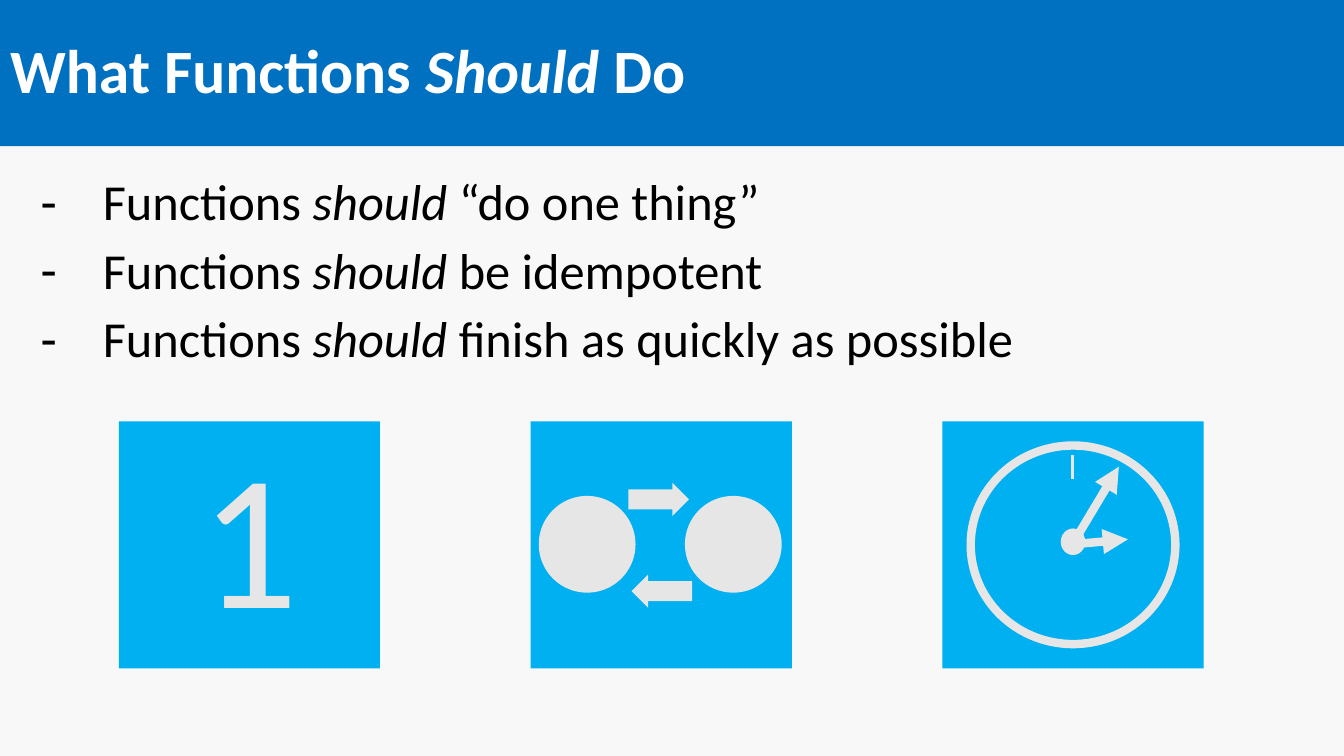
from dataclasses import dataclass

from lxml import etree
from pptx import Presentation
from pptx.dml.color import RGBColor
from pptx.enum.shapes import MSO_CONNECTOR, MSO_SHAPE
from pptx.enum.text import MSO_ANCHOR, MSO_AUTO_SIZE, PP_ALIGN
from pptx.oxml.ns import qn
from pptx.util import Inches, Pt

RECTANGLE, OVAL, ARROW = MSO_SHAPE.RECTANGLE, MSO_SHAPE.OVAL, MSO_SHAPE.RIGHT_ARROW
STRAIGHT = MSO_CONNECTOR.STRAIGHT
MIDDLE = MSO_ANCHOR.MIDDLE
FIXED_SIZE = MSO_AUTO_SIZE.NONE
LEFT, CENTER = PP_ALIGN.LEFT, PP_ALIGN.CENTER

COLUMNS, ROWS = 160, 90
TILE_LEFT, TILE_TOP, TILE_PITCH = 14.16, 50.16, 49.02
TILE_WIDTH, TILE_HEIGHT = 31.08, 29.4


@dataclass(frozen=True)
class Theme:
    font: str = "Calibri"
    background: str = "F8F8F8"
    banner: str = "0070C0"
    tile: str = "00B0F0"
    icon: str = "E7E6E6"
    title_text: str = "FFFFFF"
    body_text: str = "000000"
    title_size: int = 44
    body_size: int = 36
    numeral_size: int = 138
    line_spacing: float = 0.9
    thick: float = 6
    thin: float = 1.5


class SlideBuilder:
    def __init__(self, deck, theme):
        self.theme = theme
        self.column = deck.slide_width / COLUMNS
        self.row = deck.slide_height / ROWS
        self.page = deck.slides.add_slide(deck.slide_layouts[1])
        self.paint(self.page.background.fill, theme.background)
        self.tile_count = 0

    def paint(self, fill, color):
        fill.solid()
        fill.fore_color.rgb = RGBColor.from_string(color)

    def measure(self, left, top, width, height):
        return (round(left * self.column), round(top * self.row),
                round(width * self.column), round(height * self.row))

    def place(self, box, *area):
        box.left, box.top, box.width, box.height = self.measure(*area)

    def add_spans(self, para, text, size, color, bold=False):
        """Fill a paragraph; parts between asterisks become italic."""
        para.line_spacing = self.theme.line_spacing
        for index, part in enumerate(text.split("*")):
            span = para.add_run()
            span.text = part
            span.font.name = self.theme.font
            span.font.size = Pt(size)
            span.font.bold = bold
            span.font.italic = index % 2 == 1
            span.font.color.rgb = RGBColor.from_string(color)

    def title(self, text):
        box = self.page.shapes.title
        self.place(box, 0, 0, COLUMNS, 17.4)
        self.paint(box.fill, self.theme.banner)
        frame = box.text_frame
        frame.auto_size = FIXED_SIZE
        frame.vertical_anchor = MIDDLE
        para = frame.paragraphs[0]
        para.alignment = LEFT
        self.add_spans(para, text, self.theme.title_size, self.theme.title_text, bold=True)

    def dash_list(self, items):
        box = self.page.placeholders[1]
        self.place(box, 3.6, 20.52, 152.88, 27.48)
        frame = box.text_frame
        frame.auto_size = FIXED_SIZE
        for index, item in enumerate(items):
            para = frame.add_paragraph() if index else frame.paragraphs[0]
            para.space_before = Pt(10)
            self.add_spans(para, item, self.theme.body_size, self.theme.body_text)
            properties = para._p.get_or_add_pPr()
            properties.set("marL", str(Inches(0.62)))
            properties.set("indent", str(-Inches(0.62)))
            etree.SubElement(properties, qn("a:buChar"), char="-")

    def tile(self):
        """Start the next icon; later icon parts are measured from its corner."""
        self.left = TILE_LEFT + self.tile_count * TILE_PITCH
        self.tile_count += 1
        self.icon = self.page.shapes.add_group_shape().shapes
        self.shape(RECTANGLE, 0, 0, TILE_WIDTH, TILE_HEIGHT, self.theme.tile)

    def shape(self, kind, left, top, width, height, color=None, rotation=0):
        area = self.measure(self.left + left, TILE_TOP + top, width, height)
        shape = self.icon.add_shape(kind, *area)
        shape.shadow.inherit = False
        self.paint(shape.fill, color or self.theme.icon)
        shape.line.fill.background()
        shape.rotation = rotation
        return shape

    def ring(self, *area):
        ring = self.shape(OVAL, *area)
        ring.fill.background()
        self.stroke(ring.line, self.theme.thick)

    def arrow(self, left, top, rotation=0):
        arrow = self.shape(ARROW, left, top, 7.2, 3.96, rotation=rotation)
        arrow.adjustments[0] = 0.6

    def stroke(self, line, width):
        self.paint(line.fill, self.theme.icon)
        line.width = Pt(width)

    def line(self, start, end, width, head=False):
        begin_x, begin_y, end_x, end_y = self.measure(
            self.left + start[0], TILE_TOP + start[1],
            self.left + end[0], TILE_TOP + end[1])
        line = self.icon.add_connector(STRAIGHT, begin_x, begin_y, end_x, end_y)
        self.stroke(line.line, width)
        properties = line._element.spPr
        if head:
            outline = properties.find(qn("a:ln"))
            etree.SubElement(outline, qn("a:tailEnd"), type="triangle")
        etree.SubElement(properties, qn("a:effectLst"))

    def numeral(self, text):
        area = self.measure(self.left + 2.88, TILE_TOP + 0.48, 25.32, TILE_HEIGHT)
        frame = self.icon.add_textbox(*area).text_frame
        frame.word_wrap = True
        frame.margin_left = frame.margin_right = Inches(0.2)
        frame.margin_top = frame.margin_bottom = Inches(0.16)
        para = frame.paragraphs[0]
        para.alignment = CENTER
        para.space_after = Pt(6)
        self.add_spans(para, text, self.theme.numeral_size, self.theme.icon)


def draw_one_thing(slide):
    slide.tile()
    slide.numeral("1")


def draw_idempotence(slide):
    slide.tile()
    for left in (0.96, 18.36):
        slide.shape(OVAL, left, 8.88, 11.52, 11.52)
    slide.arrow(11.64, 7.32)
    slide.arrow(12, 18.24, rotation=180)


def draw_clock(slide):
    slide.tile()
    slide.ring(3.36, 2.88, 24.36, 23.64)
    slide.line((15.48, 3.96), (15.48, 6.84), slide.theme.thin)
    for hand_tip in ((21, 5.4), (22.08, 14.04)):
        slide.line((15.48, 14.64), hand_tip, slide.theme.thick, head=True)
    hub = slide.shape(OVAL, 14.16, 12.84, 2.76, 3)
    slide.stroke(hub.line, 1)


def main():
    deck = Presentation()
    deck.slide_width, deck.slide_height = Inches(13.33), Inches(7.5)
    slide = SlideBuilder(deck, Theme())
    slide.title("What Functions *Should* Do")
    slide.dash_list([
        "Functions *should* “do one thing”",
        "Functions *should* be idempotent",
        "Functions *should* finish as quickly as possible",
    ])
    draw_one_thing(slide)
    draw_idempotence(slide)
    draw_clock(slide)
    deck.save("out.pptx")


if __name__ == "__main__":
    main()
